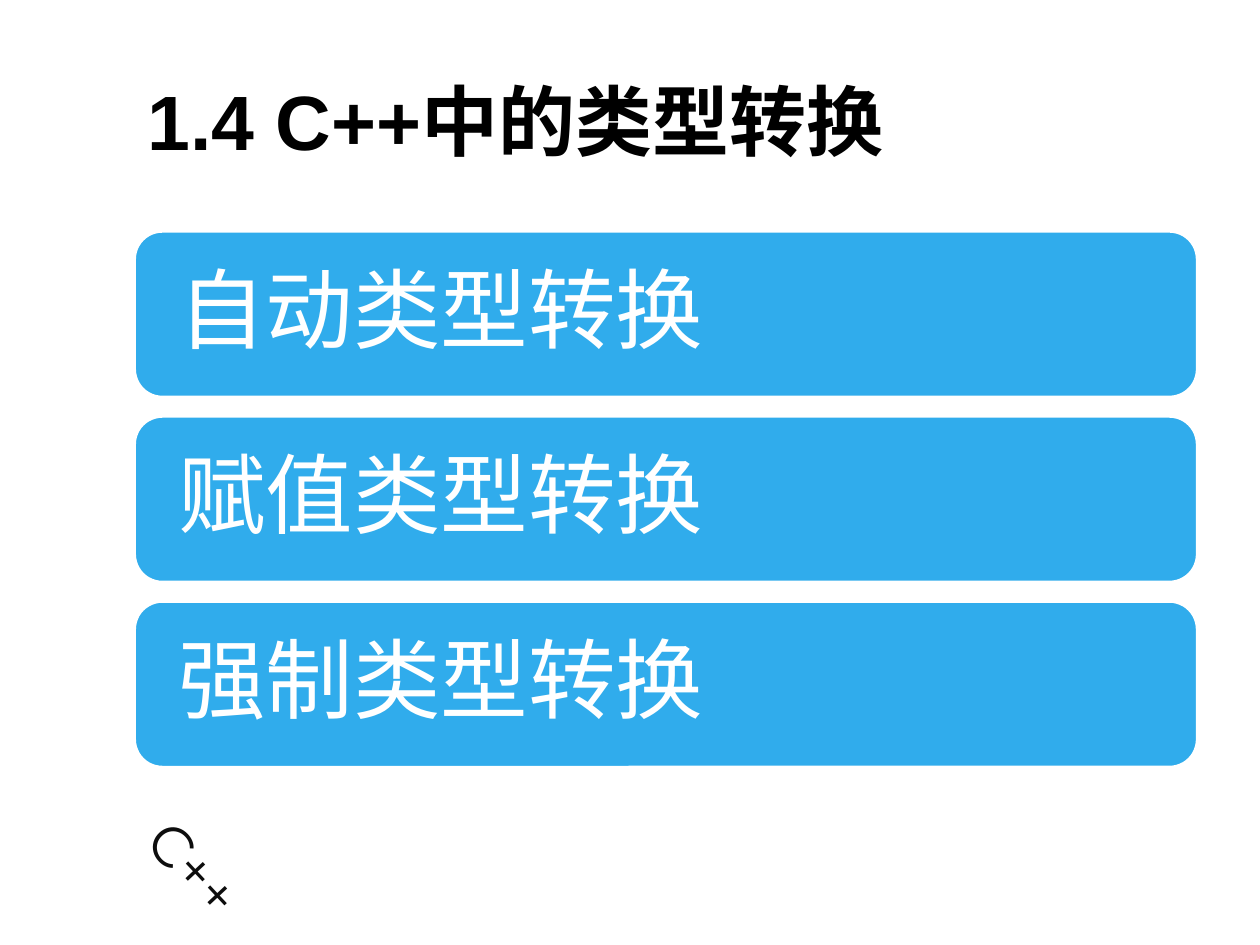
"""Build the slide on type conversion in C++."""
import pptx
import pptx.util
import pptx.dml.color
import pptx.enum.shapes
import pptx.enum.text

Cm, Pt = pptx.util.Cm, pptx.util.Pt
RGB = pptx.dml.color.RGBColor.from_string
MID = pptx.enum.text.MSO_ANCHOR.MIDDLE
LEFT = pptx.enum.text.PP_ALIGN.LEFT
ROUND = pptx.enum.shapes.MSO_SHAPE.ROUNDED_RECTANGLE
hues = {"bar": "30ACEC", "edge": "FFFFFF", "head": "000000", "mark": "0D0D0D"}


def write(frame, text, hue, looks):
    para = frame.paragraphs[0]
    para.alignment = LEFT
    run = para.add_run()
    run.text = text
    for name, value in looks.items():
        setattr(run.font, name, value)
    run.font.color.rgb = RGB(hues[hue])
    return para


def style(frame, looks):
    for name, value in looks.items():
        setattr(frame, name, value)


deck = pptx.Presentation()
deck.slide_width, deck.slide_height = Cm(25.4), Cm(19.05)
slide = deck.slides.add_slide(deck.slide_layouts[5])
left, wide = Cm(2.72), Cm(21.41)

mark = slide.shapes.add_textbox(Cm(2.39), Cm(17.22), Cm(4.09), Cm(1.63))
mark.rotation = 46.9
mark.text_frame.word_wrap = True
write(mark.text_frame, "C++", "mark", {"name": "Montserrat", "size": Pt(32)})

title = slide.shapes.title
style(title, {"left": left, "top": Cm(0.74), "width": wide, "height": Cm(3.35)})
style(title.text_frame, {"vertical_anchor": MID, "word_wrap": True})
write(title.text_frame, "1.4 C++中的类型转换", "head",
      {"name": "Arial", "size": Pt(44), "bold": True})

pad = Cm(0.71)
inset = {"margin_" + side: pad for side in ("left", "top", "right", "bottom")}
for row, text in enumerate(("自动类型转换", "赋值类型转换", "强制类型转换")):
    bar = slide.shapes.add_shape(ROUND, left, Cm(4.67 + 3.73 * row), wide, Cm(3.33))
    bar.shadow.inherit = False
    bar.fill.solid()
    bar.fill.fore_color.rgb = RGB(hues["bar"])
    bar.line.color.rgb = RGB(hues["edge"])
    bar.line.width = Pt(1.25)
    style(bar.text_frame, {"vertical_anchor": MID, "word_wrap": True, **inset})
    para = write(bar.text_frame, text, "edge", {"name": "Arial", "size": Pt(50)})
    style(para, {"line_spacing": 0.9, "space_after": Pt(17.5)})

deck.save("out.pptx")
